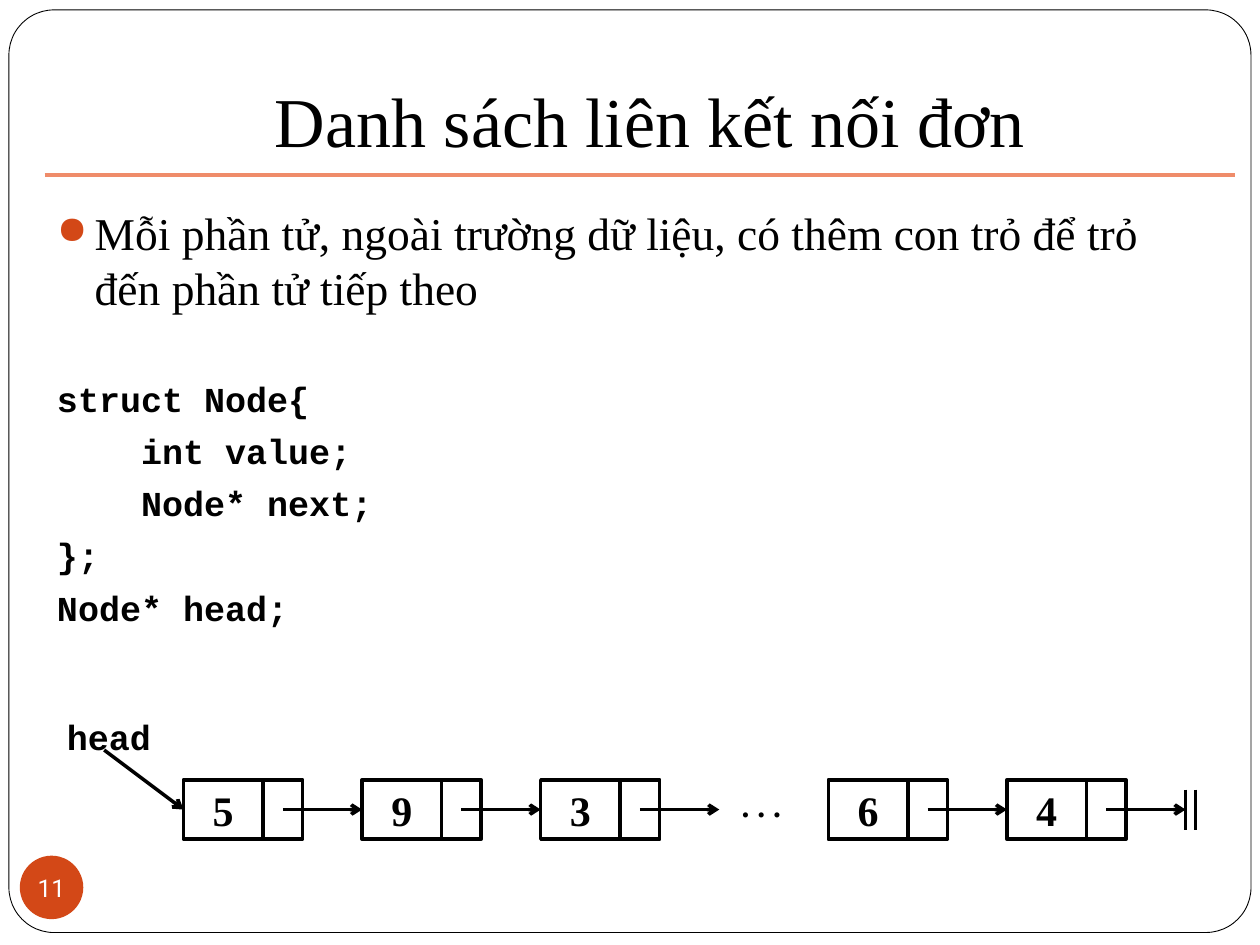
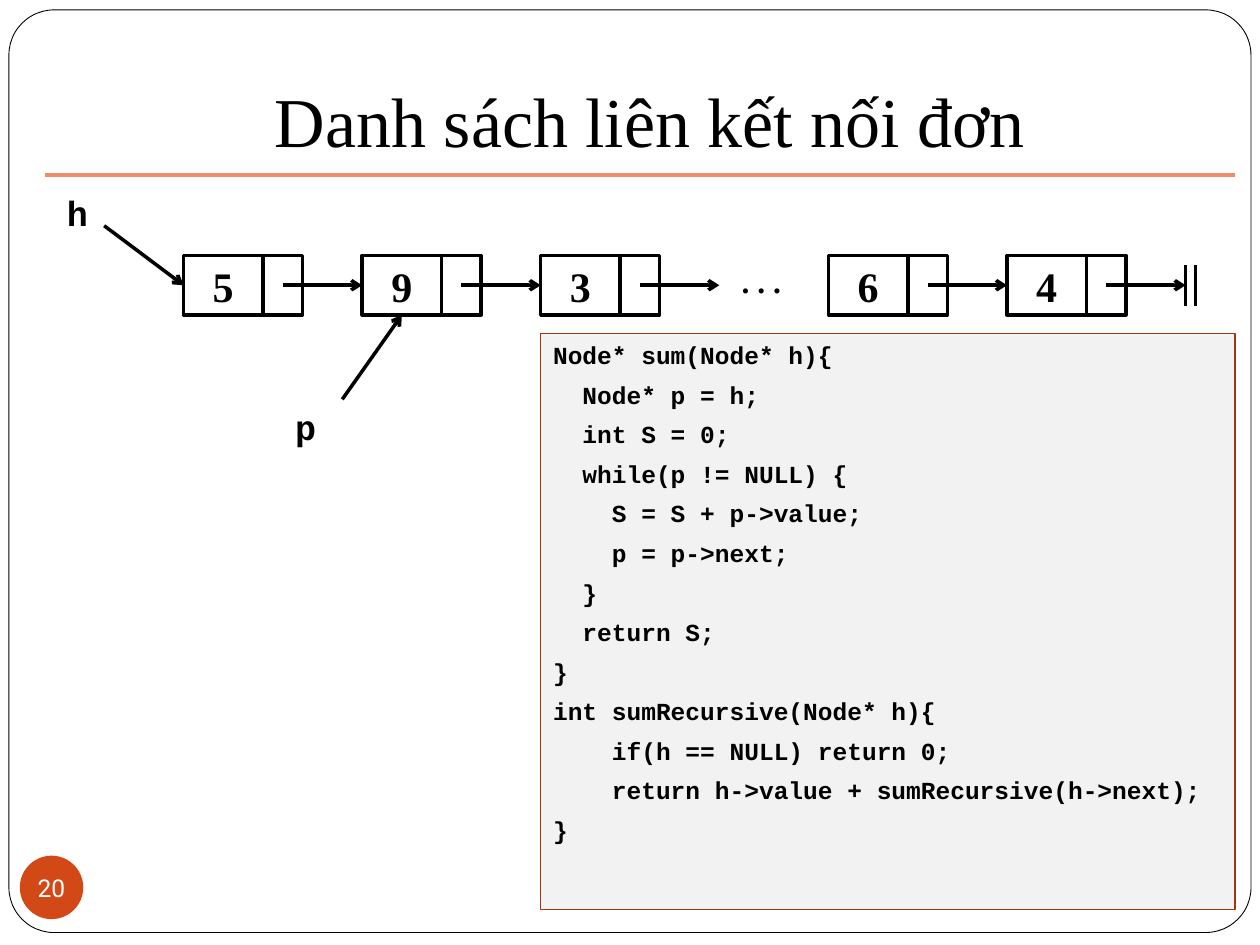
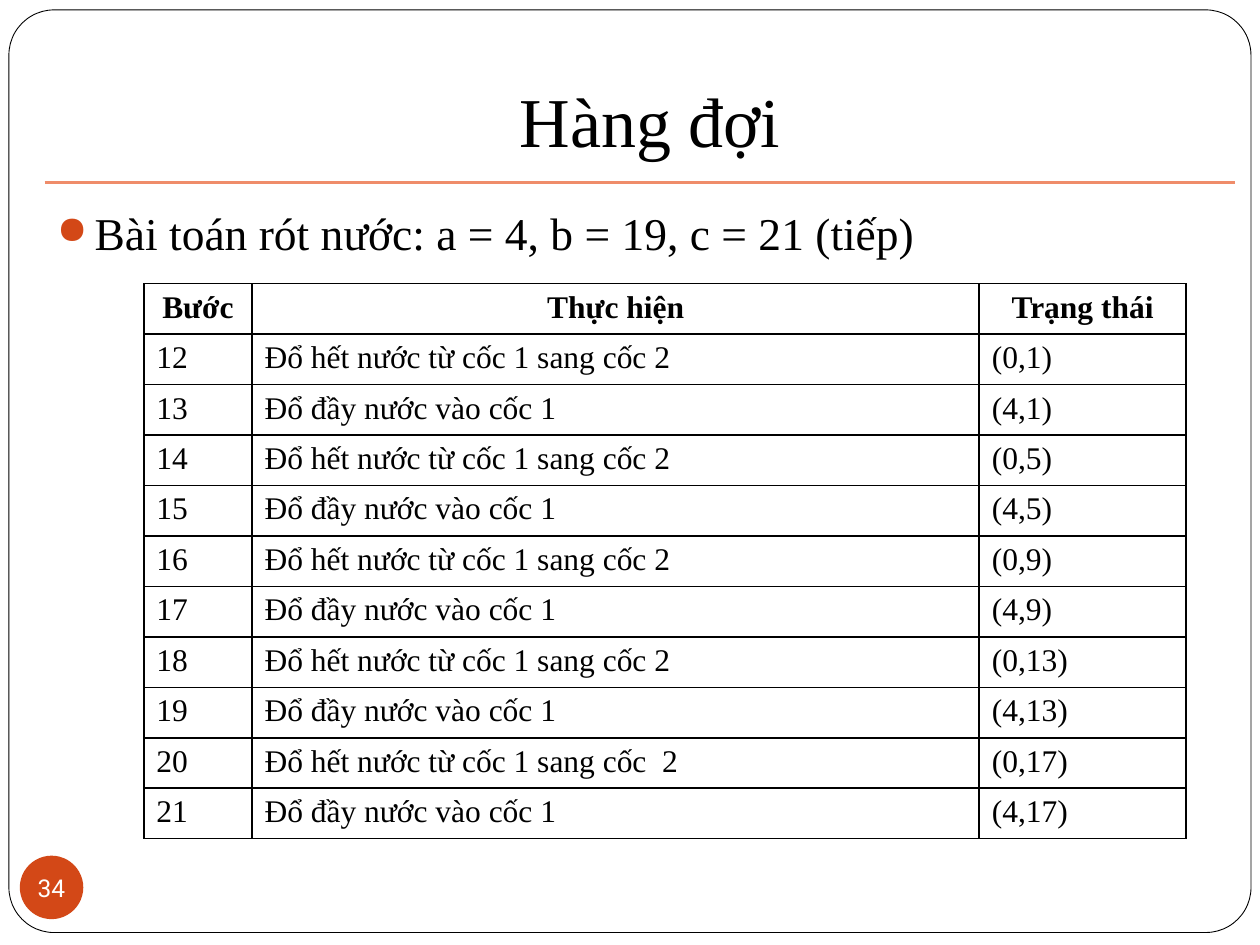
from lxml.etree import SubElement
from pptx import Presentation
from pptx.dml.color import RGBColor
from pptx.enum.shapes import MSO_CONNECTOR as CONN, MSO_SHAPE as SHAPE
from pptx.enum.text import MSO_ANCHOR as ANCHOR, PP_ALIGN as ALIGN
from pptx.oxml.ns import qn
from pptx.util import Cm, Pt

COLORS = {
    "ink": "000000",
    "paper": "FFFFFF",
    "accent": "D34817",
    "rule": "EF8C6A",
    "panel": "F2F2F2",
    "panel_edge": "9E3611",
}
SERIF, MONO, BADGE = "Times New Roman", "Courier New", "Roboto"

LIST_TITLE = "Danh sách liên kết nối đơn"
STRUCT_CODE = """struct Node{
    int value;
    Node* next;
};
Node* head;"""
SUM_CODE = """Node* sum(Node* h){
  Node* p = h;
  int S = 0;
  while(p != NULL) {
    S = S + p->value;
    p = p->next;
  }
  return S;
}
int sumRecursive(Node* h){
    if(h == NULL) return 0;
    return h->value + sumRecursive(h->next);
}"""
EMPTY_1 = "Đổ hết nước từ cốc 1 sang cốc 2"
FILL_1 = "Đổ đầy nước vào cốc 1"
STEPS = [
    ("Bước", "Thực hiện", "Trạng thái"),
    ("12", EMPTY_1, "(0,1)"),
    ("13", FILL_1, "(4,1)"),
    ("14", EMPTY_1, "(0,5)"),
    ("15", FILL_1, "(4,5)"),
    ("16", EMPTY_1, "(0,9)"),
    ("17", FILL_1, "(4,9)"),
    ("18", EMPTY_1, "(0,13)"),
    ("19", FILL_1, "(4,13)"),
    ("20", "Đổ hết nước từ cốc  2".replace("cốc  2", "cốc 1 sang cốc  2"), "(0,17)"),
    ("21", FILL_1, "(4,17)"),
]


def rgb(name):
    return RGBColor.from_string(COLORS[name])


class Deck:
    def __init__(self):
        self.prs = Presentation()
        self.prs.slide_width, self.prs.slide_height = Cm(25.4), Cm(19.05)
        self.s = None

    def slide(self, title, number, rule_y=3.53):
        self.s = self.prs.slides.add_slide(self.prs.slide_layouts[6])
        frame = self.shape(SHAPE.ROUNDED_RECTANGLE, 0.18, 0.2, 25.04, 18.6, "paper", "ink", 0.5)
        frame.adjustments[0] = 0.049
        tf = self.box(1.3, 0.33, 23.6, 3.18)
        tf.vertical_anchor = ANCHOR.BOTTOM
        tf.margin_bottom = Cm(0.25)
        self.run(tf.paragraphs[0], title, 40, align=ALIGN.CENTER)
        self.line(0.9, rule_y, 24.9, rule_y, "rule")
        badge = self.shape(SHAPE.OVAL, 0.4, 17.25, 1.28, 1.28, "accent")
        tf = badge.text_frame
        tf.margin_left = tf.margin_right = tf.margin_top = tf.margin_bottom = 0
        tf.word_wrap = False
        self.run(tf.paragraphs[0], number, 14, BADGE, color="paper", align=ALIGN.CENTER)

    def shape(self, kind, x, y, w, h, fill=None, line=None, width=2):
        sp = self.s.shapes.add_shape(kind, Cm(x), Cm(y), Cm(w), Cm(h))
        sp.shadow.inherit = False
        if fill:
            sp.fill.solid()
            sp.fill.fore_color.rgb = rgb(fill)
        else:
            sp.fill.background()
        if line:
            sp.line.color.rgb = rgb(line)
            sp.line.width = Pt(width)
        else:
            sp.line.fill.background()
        sp.text_frame.vertical_anchor = ANCHOR.MIDDLE
        return sp

    def box(self, x, y, w, h):
        tf = self.s.shapes.add_textbox(Cm(x), Cm(y), Cm(w), Cm(h)).text_frame
        tf.word_wrap = True
        return tf

    def run(self, p, text, size, font=SERIF, bold=False, color="ink", align=ALIGN.LEFT):
        p.alignment = align
        r = p.add_run()
        r.text = text
        r.font.name, r.font.size, r.font.bold = font, Pt(size), bold
        r.font.color.rgb = rgb(color)

    def label(self, text, x, y, w, size=20, font=MONO):
        tf = self.box(x, y, w, 1.11)
        self.run(tf.paragraphs[0], text, size, font, True)

    def bullet(self, text):
        tf = self.box(0.9, 4.01, 23.6, 13.9)
        p = tf.paragraphs[0]
        pPr = p._p.get_or_add_pPr()
        pPr.set("marL", str(Cm(0.76)))
        pPr.set("indent", str(-Cm(0.76)))
        color = SubElement(pPr, qn("a:buClr"))
        SubElement(color, qn("a:srgbClr"), val=COLORS["accent"])
        SubElement(pPr, qn("a:buSzPct"), val="85000")
        SubElement(pPr, qn("a:buChar"), char="●")
        p.line_spacing = Pt(31.2)
        self.run(p, text, 26)
        return tf

    def code(self, tf, text, size, gap=0):
        for i, row in enumerate(text.split("\n")):
            p = tf.add_paragraph() if i or gap else tf.paragraphs[0]
            p.space_before = Pt(5.8 if i else gap)
            p.line_spacing = Pt(size * 1.2)
            self.run(p, row, size, MONO, True)

    def line(self, x1, y1, x2, y2, color="ink", arrow=False):
        c = self.s.shapes.add_connector(CONN.STRAIGHT, Cm(x1), Cm(y1), Cm(x2), Cm(y2))
        c.line.color.rgb = rgb(color)
        c.line.width = Pt(2)
        if arrow:
            SubElement(c.line._get_or_add_ln(), qn("a:tailEnd"), type="arrow")
        SubElement(c._element.spPr, qn("a:effectLst"))

    def node(self, value, x, y):
        sp = self.shape(SHAPE.RECTANGLE, x, y, 1.6, 1.2, line="ink")
        self.run(sp.text_frame.paragraphs[0], value, 24, bold=True, align=ALIGN.CENTER)
        self.shape(SHAPE.RECTANGLE, x + 1.6, y, 0.8, 1.2, line="ink")
        self.line(x + 2, y + 0.6, x + 3.6, y + 0.6, arrow=True)

    def linked_list(self, head, y):
        for start, values in ((3.7, "593"), (16.7, "64")):
            for i, value in enumerate(values):
                self.node(value, start + 3.6 * i, y)
        self.label(". . .", 14.7, y, 2.4, 18, SERIF)
        self.line(2.1, y - 0.6, 3.7, y + 0.6, arrow=True)
        self.label(head, 1.1, y - 1.42, 2.4)
        for x in (23.9, 24.1):
            self.line(x, y + 0.2, x, y + 1.02)

    def table(self, rows, x, y, widths, row_height):
        frame = self.s.shapes.add_table(
            len(rows), len(widths), Cm(x), Cm(y), Cm(sum(widths)), Cm(row_height * len(rows)))
        t = frame.table
        t.horz_banding = False
        for col, width in zip(t.columns, widths):
            col.width = Cm(width)
        for i, row in enumerate(rows):
            for j, text in enumerate(row):
                cell = t.cell(i, j)
                self.borders(cell)
                cell.fill.background()
                self.run(cell.text_frame.paragraphs[0], text, 18, bold=i == 0,
                         align=ALIGN.LEFT if i else ALIGN.CENTER)

    def borders(self, cell):
        tcPr = cell._tc.get_or_add_tcPr()
        for side in "LRTB":
            ln = SubElement(tcPr, qn("a:ln" + side), w=str(Pt(1)))
            fill = SubElement(ln, qn("a:solidFill"))
            SubElement(fill, qn("a:srgbClr"), val=COLORS["ink"])


def main():
    d = Deck()

    d.slide(LIST_TITLE, "11")
    tf = d.bullet("Mỗi phần tử, ngoài trường dữ liệu, có thêm con trỏ để trỏ "
                  "đến phần tử tiếp theo")
    d.code(tf, STRUCT_CODE, 20, gap=36)
    d.linked_list("head", 15.72)

    d.slide(LIST_TITLE, "20")
    d.linked_list("h", 5.15)
    panel = d.shape(SHAPE.RECTANGLE, 10.9, 6.73, 14, 11.6, "panel", "panel_edge", 0.75)
    panel.text_frame.vertical_anchor = ANCHOR.TOP
    d.code(panel.text_frame, SUM_CODE, 14)
    d.label("p", 5.7, 8.05, 1.2)
    d.line(6.9, 8.05, 8.1, 6.35, arrow=True)

    d.slide("Hàng đợi", "34", rule_y=3.68)
    d.bullet("Bài toán rót nước: a = 4, b = 19, c = 21 (tiếp)")
    d.table(STEPS, 2.9, 5.72, (2.18, 14.66, 4.17), 0.86)

    d.prs.save("out.pptx")


if __name__ == "__main__":
    main()
